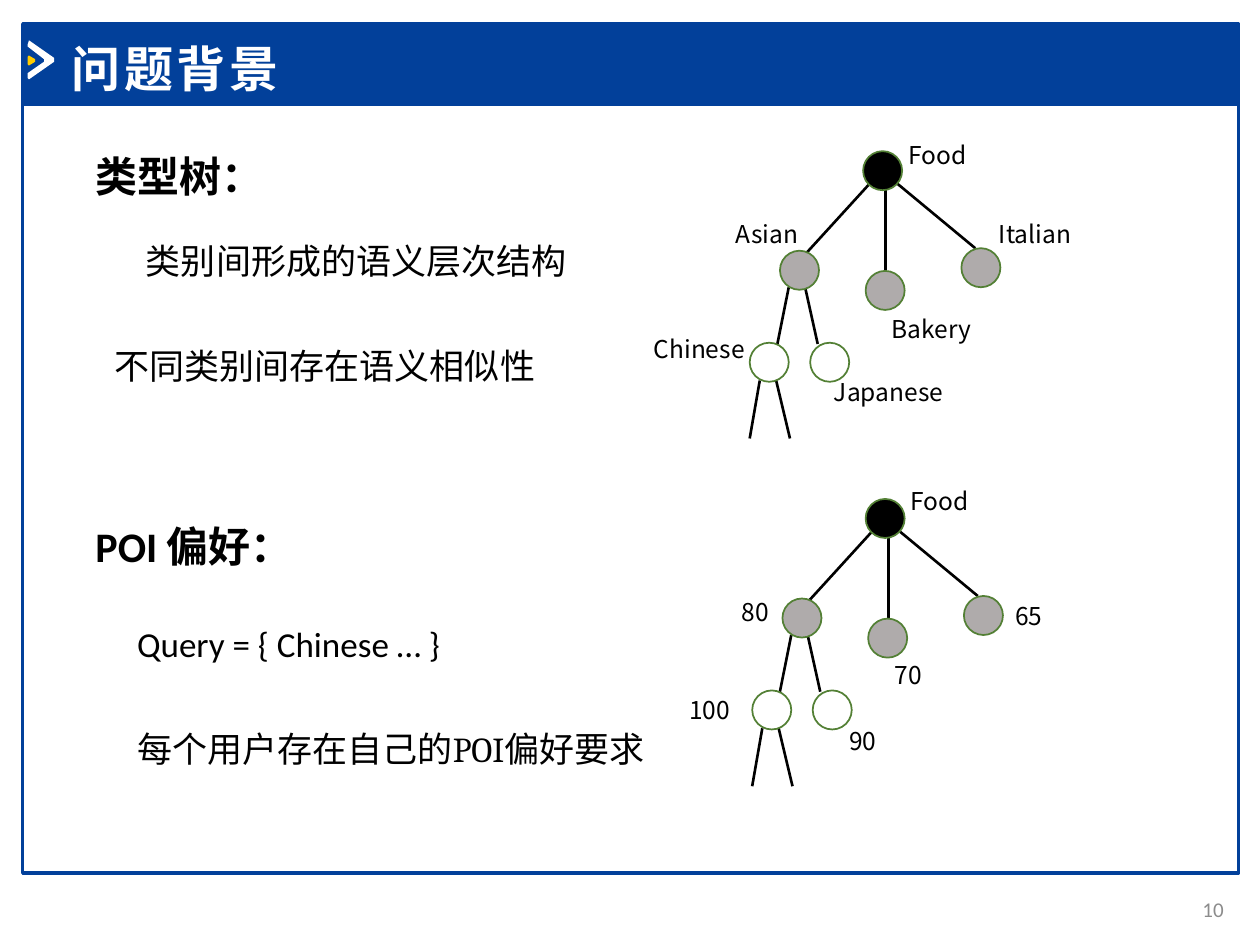
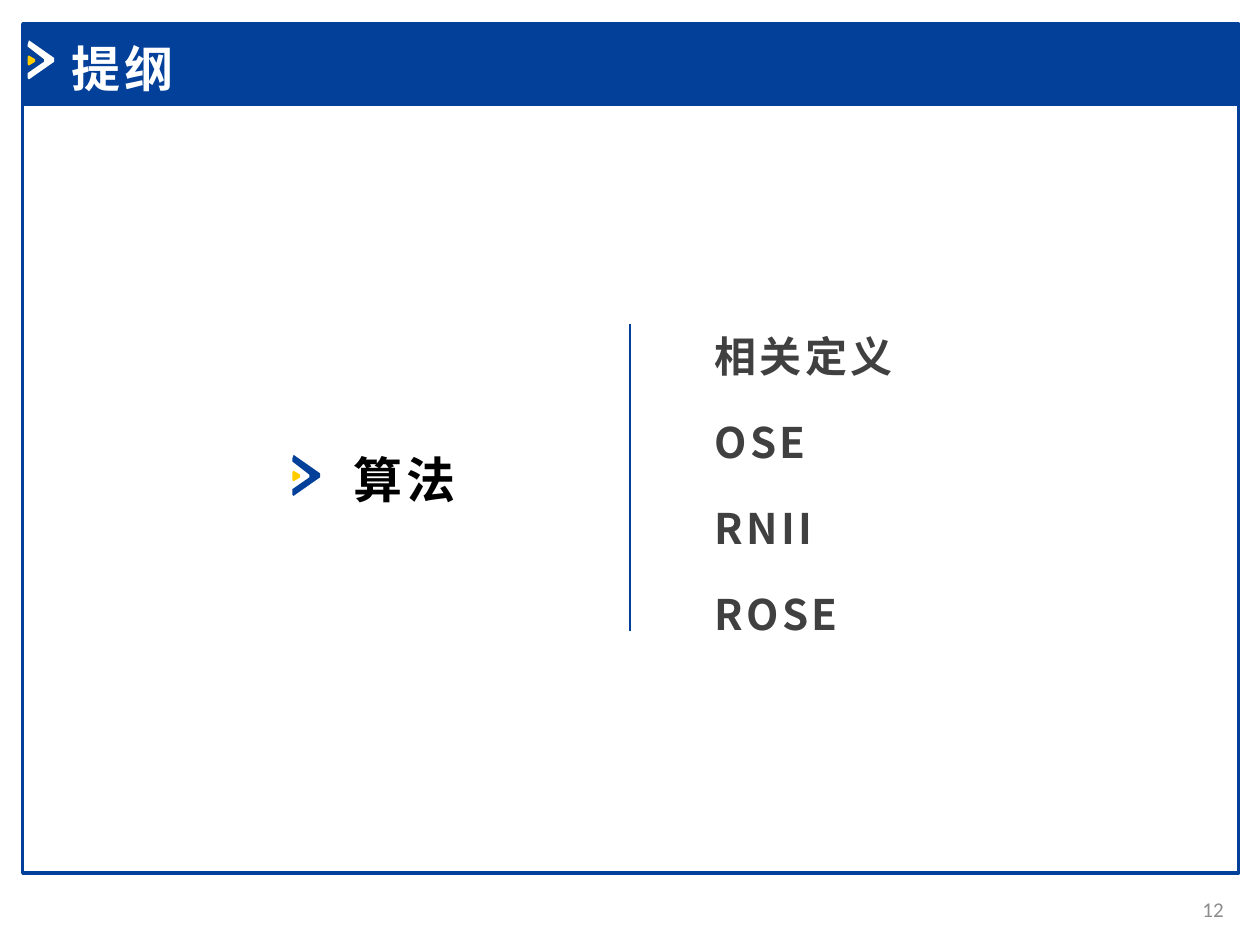
from dataclasses import dataclass
from typing import Any, NamedTuple

from lxml.etree import SubElement
from pptx import Presentation
from pptx.dml.color import RGBColor
from pptx.enum.shapes import MSO_CONNECTOR, MSO_SHAPE
from pptx.enum.text import MSO_ANCHOR, PP_ALIGN
from pptx.oxml.ns import qn
from pptx.util import Inches, Pt

# Slide grid: 100 columns by 75 rows
SLIDE_WIDTH, SLIDE_HEIGHT = Inches(10), Inches(7.5)
COLUMNS, ROWS = 100, 75

NAVY, GOLD, WHITE, BLACK = "02409A", "FFCC00", "FFFFFF", "000000"
GRAY, GREEN, CHARCOAL, PAGE_GRAY = "AFABAB", "538035", "404040", "8C8C8C"
CALIBRI, CAMBRIA, NOTO = "Calibri", "Cambria", "Noto Sans CJK SC"
LEADING = 1.3


class Area(NamedTuple):
    column: float
    row: float
    width: float
    height: float


@dataclass(frozen=True)
class TextStyle:
    size: float
    color: str = BLACK
    font: str = CALIBRI
    bold: bool = False
    tracking: float = 0
    leading: float = LEADING


class Line(NamedTuple):
    runs: list[tuple[str, str]]
    indent: float = 0
    space_before: float = 0


class Node(NamedTuple):
    column: float
    row: float
    fill: str


class Edge(NamedTuple):
    start: tuple[float, float]
    end: tuple[float, float]


class Label(NamedTuple):
    text: str
    column: float
    row: float


@dataclass(frozen=True)
class CategoryTree:
    column: float
    row: float
    labels: list[Label]


TITLE = TextStyle(28, WHITE, bold=True, tracking=2)
PAGE = TextStyle(12, PAGE_GRAY)
HEADING = TextStyle(24, bold=True)
BODY = TextStyle(20, leading=1.5)
NODE_LABEL = TextStyle(14, font=NOTO, leading=1.25)
CHAPTER = TextStyle(28, font=NOTO, bold=True, tracking=2)
TOPIC = TextStyle(24, CHARCOAL, NOTO, bold=True, tracking=2)

# Tree geometry, measured from the corner of the root node
NODE_SIZE = 3.1
NODES = [
    Node(0, 0, BLACK),
    Node(-6.6, 7.9, GRAY), Node(0.2, 9.5, GRAY), Node(7.8, 7.7, GRAY),
    Node(-9, 15.2, WHITE), Node(-4.2, 15.2, WHITE),
]
EDGES = [
    Edge((-4.7, 8.3), (0.5, 2.6)),
    Edge((1.8, 2.6), (1.8, 9.8)),
    Edge((2.5, 2.4), (8.9, 7.7)),
    Edge((-6.8, 15.3), (-5.9, 10.8)),
    Edge((-4.6, 10.8), (-3.6, 15.3)),
    Edge((-9, 22.8), (-8.2, 18.2)),
    Edge((-6.9, 18.2), (-5.8, 22.8)),
]
TREES = [
    CategoryTree(68.5, 12, [
        Label("Food", 2.6, -1.5), Label("Asian", -11.1, 4.8),
        Label("Italian", 9.8, 4.8), Label("Bakery", 1.3, 12.3),
        Label("Chinese", -17.6, 13.9), Label("Japanese", -3.3, 17.3),
    ]),
    CategoryTree(68.7, 39.6, [
        Label("Food", 2.6, -1.6), Label("80", -10.8, 7.2),
        Label("65", 10.9, 7.5), Label("70", 1.3, 12.2),
        Label("100", -15, 15), Label("90", -2.3, 17.4),
    ]),
]

# Chevron mark outlines, measured from its corner
CHEVRON = [(0, 0.3), (0.1, 0), (2.1, 1.4), (2.1, 1.7), (0.1, 3.1),
           (0, 3), (0, 2.6), (1.3, 1.7), (1.3, 1.5), (0, 0.5)]
CHEVRON_CORE = [(0, 1.3), (0.1, 1.2), (0.6, 1.5), (0.6, 1.7),
                (0.1, 2), (0, 1.9)]


def col(columns: float) -> int:
    return round(SLIDE_WIDTH * columns / COLUMNS)


def row(rows: float) -> int:
    return round(SLIDE_HEIGHT * rows / ROWS)


def emu(area: Area) -> tuple[int, int, int, int]:
    return col(area.column), row(area.row), col(area.width), row(area.height)


def rgb(color: str) -> RGBColor:
    return RGBColor.from_string(color)


def apply_format(target: Any, values: dict[str, Any]) -> None:
    for attribute, value in values.items():
        setattr(target, attribute, value)


def paint(shape: Any, fill: str | None, outline: str | None = None,
          weight: float = 1) -> None:
    shape.shadow.inherit = False
    if fill:
        shape.fill.solid()
        shape.fill.fore_color.rgb = rgb(fill)
    else:
        shape.fill.background()
    if outline:
        shape.line.color.rgb = rgb(outline)
        shape.line.width = Pt(weight)
    else:
        shape.line.fill.background()


def write(frame: Any, lines: list[Line], style: TextStyle,
          align: PP_ALIGN = PP_ALIGN.LEFT,
          anchor: MSO_ANCHOR = MSO_ANCHOR.TOP) -> None:
    apply_format(frame, {
        "word_wrap": True, "vertical_anchor": anchor,
        "margin_left": Inches(0.1), "margin_right": Inches(0.1),
        "margin_top": Inches(0.05), "margin_bottom": Inches(0.05),
    })
    for index, line in enumerate(lines):
        paragraph = frame.add_paragraph() if index else frame.paragraphs[0]
        apply_format(paragraph, {
            "alignment": align,
            "line_spacing": Pt(style.size * style.leading),
            "space_before": Pt(line.space_before),
        })
        if line.indent:
            paragraph._p.get_or_add_pPr().set("marL", str(col(line.indent)))
        for text, font in line.runs:
            run = paragraph.add_run()
            run.text = text
            apply_format(run.font, {
                "name": font, "size": Pt(style.size), "bold": style.bold,
            })
            run.font.color.rgb = rgb(style.color)
            properties = run._r.get_or_add_rPr()
            SubElement(properties, qn("a:ea")).set("typeface", NOTO)
            if style.tracking:
                properties.set("spc", str(round(style.tracking * 100)))


def add_lines(slide: Any, area: Area, lines: list[Line], style: TextStyle,
              **placement: Any) -> None:
    write(slide.shapes.add_textbox(*emu(area)).text_frame, lines, style,
          **placement)


def add_text(slide: Any, area: Area, text: str, style: TextStyle,
             **placement: Any) -> None:
    add_lines(slide, area, [Line([(text, style.font)])], style, **placement)


def add_line(slide: Any, start: tuple[float, float],
             end: tuple[float, float], color: str) -> None:
    connector = slide.shapes.add_connector(
        MSO_CONNECTOR.STRAIGHT,
        col(start[0]), row(start[1]), col(end[0]), row(end[1]))
    connector.line.color.rgb = rgb(color)
    connector.line.width = Pt(1.5)
    SubElement(connector.element.spPr, qn("a:effectLst"))


def add_chevron(slide: Any, column: float, top: float, color: str,
                scale: float = 1) -> None:
    for outline, fill in ((CHEVRON, color), (CHEVRON_CORE, GOLD)):
        points = [(col(column + x * scale), row(top + y * scale))
                  for x, y in outline]
        builder = slide.shapes.build_freeform(*points[0])
        builder.add_line_segments(points[1:], close=True)
        paint(builder.convert_to_shape(), fill)


def add_tree(slide: Any, tree: CategoryTree) -> None:
    def placed(point: tuple[float, float]) -> tuple[float, float]:
        return tree.column + point[0], tree.row + point[1]

    for edge in EDGES:
        add_line(slide, placed(edge.start), placed(edge.end), BLACK)
    for node in NODES:
        area = Area(*placed((node.column, node.row)), NODE_SIZE, NODE_SIZE)
        circle = slide.shapes.add_shape(
            MSO_SHAPE.FLOWCHART_CONNECTOR, *emu(area))
        paint(circle, node.fill, GREEN)
    for label in tree.labels:
        area = Area(*placed((label.column, label.row)), 11.5, 3.4)
        add_text(slide, area, label.text, NODE_LABEL)


def add_framed_slide(deck: Any, title: str, page: str) -> Any:
    slide = deck.slides.add_slide(deck.slide_layouts[5])
    # Content frame and title band
    for area, fill in ((Area(1.8, 8.3, 96.5, 61), None),
                       (Area(1.8, 1.9, 96.5, 6.4), NAVY)):
        panel = slide.shapes.add_shape(MSO_SHAPE.RECTANGLE, *emu(area))
        paint(panel, fill, NAVY, 2)
    add_chevron(slide, 2.2, 3.2, WHITE)
    # Title sits in front of the band
    heading = slide.shapes.title
    heading.element.getparent().append(heading.element)
    left, top, width, height = emu(Area(4.7, 2.2, 35.6, 5.7))
    apply_format(heading, {"left": left, "top": top,
                           "width": width, "height": height})
    write(heading.text_frame, [Line([(title, TITLE.font)])], TITLE)
    add_text(slide, Area(92.2, 70.1, 5.9, 4), page, PAGE,
             align=PP_ALIGN.RIGHT, anchor=MSO_ANCHOR.MIDDLE)
    return slide


def build_background(deck: Any) -> None:
    slide = add_framed_slide(deck, "问题背景", "10")
    # Category tree
    add_text(slide, Area(6.6, 11.1, 57.7, 8.4), "类型树：", HEADING)
    add_lines(slide, Area(5.6, 17.7, 45.1, 13.1), [
        Line([("类别间形成的语义层次结构", NOTO)], indent=5),
        Line([("不同类别间存在语义相似性", NOTO)], indent=2.5,
             space_before=30),
    ], BODY)
    # POI preferences
    add_text(slide, Area(6.6, 40.5, 57.7, 8.4), "POI 偏好：", HEADING)
    add_lines(slide, Area(4.9, 48.1, 50, 13.3), [
        Line([("Query = { Chinese … }", CALIBRI)], indent=5),
        Line([("每个用户存在自己的", NOTO), ("POI", CAMBRIA),
              ("偏好要求", NOTO)], indent=5, space_before=30),
    ], BODY)
    for tree in TREES:
        add_tree(slide, tree)


def build_outline(deck: Any) -> None:
    slide = add_framed_slide(deck, "提纲", "12")
    # Chapter
    add_chevron(slide, 23.2, 36.1, NAVY, 1.05)
    add_text(slide, Area(27.1, 34.8, 16.1, 5.7), "算法", CHAPTER)
    add_line(slide, (50, 25.7), (50, 50.1), NAVY)
    # Topics at an equal pitch
    first_row, pitch = 25.4, 6.84
    for index, topic in enumerate(["相关定义", "OSE", "RNII", "ROSE"]):
        area = Area(55.7, first_row + index * pitch, 24.8, 5)
        add_text(slide, area, topic, TOPIC)


def main() -> None:
    deck = Presentation()
    apply_format(deck, {"slide_width": SLIDE_WIDTH,
                        "slide_height": SLIDE_HEIGHT})
    build_background(deck)
    build_outline(deck)
    deck.save("out.pptx")


if __name__ == "__main__":
    main()
